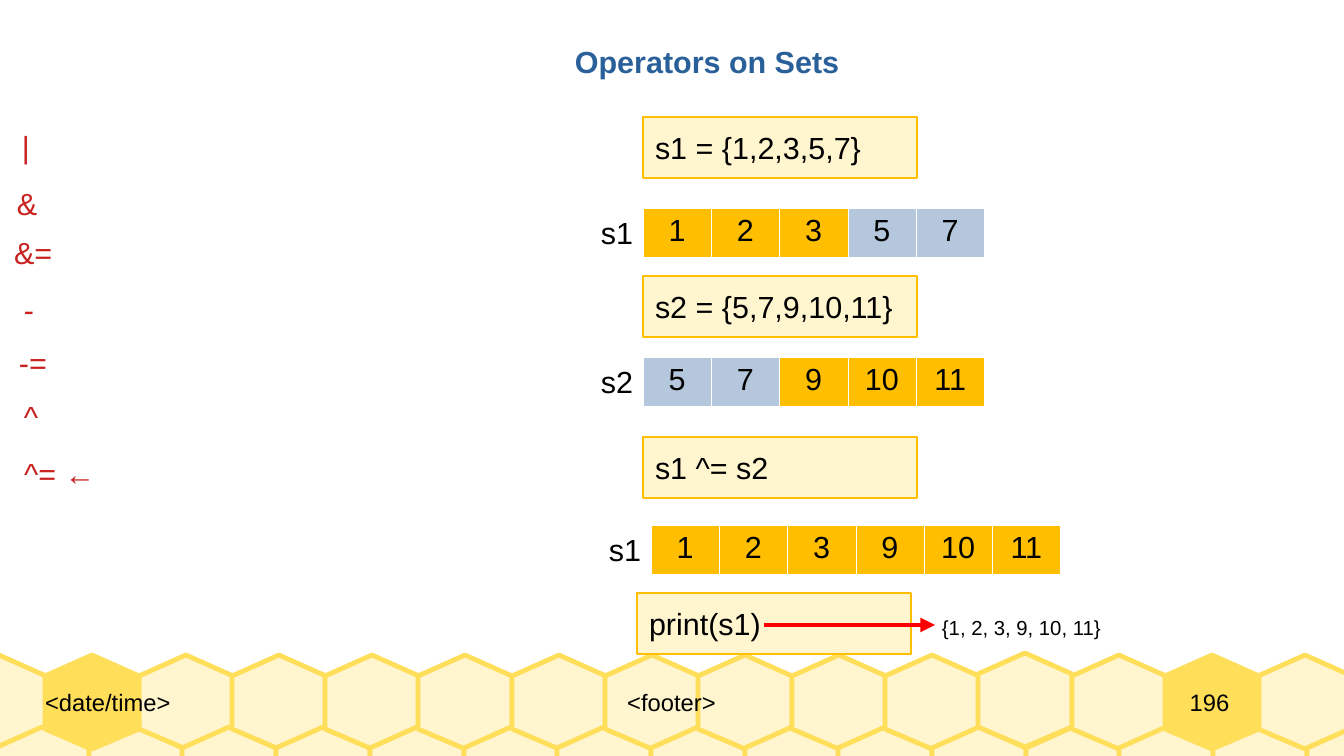
import pptx
import pptx.dml.color
import pptx.enum.shapes
import pptx.enum.text
import pptx.oxml
import pptx.oxml.ns
import pptx.util
from lxml import etree

PX = 7495  # EMU in one px
BLACK, RED, BLUE = "000000", "C9211E", "2A6099"
CREAM, YELLOW, AMBER, STEEL = "FFF5CE", "FFDE59", "FFBF00", "B4C7DC"
MIDDLE = pptx.enum.text.MSO_ANCHOR.MIDDLE
LEFT, CENTER = pptx.enum.text.PP_ALIGN.LEFT, pptx.enum.text.PP_ALIGN.CENTER


def rgb(value):
    return pptx.dml.color.RGBColor.from_string(value)


def write(frame, text, size=18, color=BLACK, bold=False, align=LEFT):
    paragraph = frame.paragraphs[0]
    paragraph.alignment = align
    run = paragraph.add_run()
    run.text = text
    font_format = {"name": "Arial", "size": pptx.util.Pt(size), "bold": bold}
    for key, value in font_format.items():
        setattr(run.font, key, value)
    run.font.color.rgb = rgb(color)


deck = pptx.Presentation()
deck.slide_width, deck.slide_height = 1344 * PX, 756 * PX
slide = deck.slides.add_slide(deck.slide_layouts[6])
shapes = slide.shapes

# Honeycomb: two rows of hexagons, two of them solid
honeycomb = []
for left, pitch, top in [(-48, 93.3, 655), (-5, 93.7, 727)]:
    for i in range(15):
        solid = top == 655 and i in (1, 13)
        lift = 2 if top == 655 and i == 11 else 0
        honeycomb.append((solid, round(left + i * pitch), top - lift))

for solid, x, y in sorted(honeycomb):
    outline = shapes.build_freeform(x + 47, y, scale=PX)
    corners = [(0, 21), (0, 74), (47, 94), (94, 74), (94, 21)]
    outline.add_line_segments([(x + dx, y + dy) for dx, dy in corners])
    hexagon = outline.convert_to_shape()
    hexagon.shadow.inherit = False
    hexagon.fill.solid()
    hexagon.fill.fore_color.rgb = rgb(YELLOW if solid else CREAM)
    hexagon.line.color.rgb = rgb(YELLOW)
    hexagon.line.width = pptx.util.Pt(2.83)

# Footer texts
for x, width, text, align in [
    (45, 321, "<date/time>", LEFT),
    (366, 611, "<footer>", CENTER),
    (1133, 153, "196", CENTER),
]:
    footer = shapes.add_textbox(x * PX, 655 * PX, width * PX, 94 * PX).text_frame
    footer_format = {"word_wrap": True, "vertical_anchor": MIDDLE, "margin_left": 0,
                     "margin_right": 0, "margin_top": 0, "margin_bottom": 0}
    for key, value in footer_format.items():
        setattr(footer, key, value)
    write(footer, text, size=14, align=align)

# Title, operators, set names and printed result
for x, y, width, height, text, size, color in [
    (563, 37, 300, 46, "Operators on Sets", 18, BLUE),
    (10, 122, 49, 46, "|", 18, RED),
    (5, 179, 117, 48, "&", 18, RED),
    (2, 228, 150, 57, "&=", 18, RED),
    (12, 285, 110, 52, "-", 18, RED),
    (7, 338, 115, 52, "-=", 18, RED),
    (12, 392, 78, 46, "^", 18, RED),
    (12, 449, 140, 81, "^= ←", 18, RED),
    (589, 208, 61, 46, "s1", 18, BLACK),
    (589, 357, 61, 46, "s2", 18, BLACK),
    (597, 525, 61, 46, "s1", 18, BLACK),
    (930, 609, 200, 35, "{1, 2, 3, 9, 10, 11}", 12, BLACK),
]:
    label = shapes.add_textbox(x * PX, y * PX, width * PX, height * PX).text_frame
    label.word_wrap = True
    write(label, text, size, color, bold=color == BLUE)

# Code boxes
for x, y, code in [
    (643, 117, "s1 = {1,2,3,5,7}"),
    (643, 276, "s2 = {5,7,9,10,11}"),
    (643, 437, "s1 ^= s2"),
    (637, 593, "print(s1)"),
]:
    code_box = shapes.add_shape(pptx.enum.shapes.MSO_SHAPE.RECTANGLE,
                                x * PX, y * PX, 274 * PX, 61 * PX)
    code_box.shadow.inherit = False
    code_box.fill.solid()
    code_box.fill.fore_color.rgb = rgb(CREAM)
    code_box.line.color.rgb = rgb(AMBER)
    code_box.line.width = pptx.util.Pt(1.42)
    code_box.text_frame.word_wrap = True
    code_box.text_frame.vertical_anchor = MIDDLE
    write(code_box.text_frame, code)

# Sets as one-row tables, shared members in steel blue
for x, y, members in [
    (643, 208, [1, 2, 3, 5, 7]),
    (643, 357, [5, 7, 9, 10, 11]),
    (651, 525, [1, 2, 3, 9, 10, 11]),
]:
    row = shapes.add_table(1, len(members), x * PX, y * PX,
                           68 * len(members) * PX, 46 * PX).table
    row.first_row = row.horz_banding = False
    for column, member in enumerate(members):
        row.columns[column].width = round(68.3 * PX)
        cell = row.cell(0, column)
        write(cell.text_frame, str(member), align=CENTER)
        borders = cell._tc.get_or_add_tcPr()
        for side in ("lnL", "lnR", "lnT", "lnB"):
            borders.append(pptx.oxml.parse_xml(
                f'<a:{side} {pptx.oxml.ns.nsdecls("a")} w="720"><a:solidFill>'
                f'<a:srgbClr val="FFFFFF"/></a:solidFill></a:{side}>'))
        cell.fill.solid()
        cell.fill.fore_color.rgb = rgb(STEEL if member in (5, 7) else AMBER)

# Arrow from print to its result
arrow = shapes.add_connector(pptx.enum.shapes.MSO_CONNECTOR.STRAIGHT,
                             764 * PX, 625 * PX, 935 * PX, 625 * PX)
arrow.line.color.rgb = rgb("FF0000")
arrow.line.width = pptx.util.Pt(2.89)
head = etree.SubElement(arrow.line._get_or_add_ln(), pptx.oxml.ns.qn("a:tailEnd"))
head.set("type", "triangle")
etree.SubElement(arrow._element.spPr, pptx.oxml.ns.qn("a:effectLst"))

deck.save("out.pptx")
